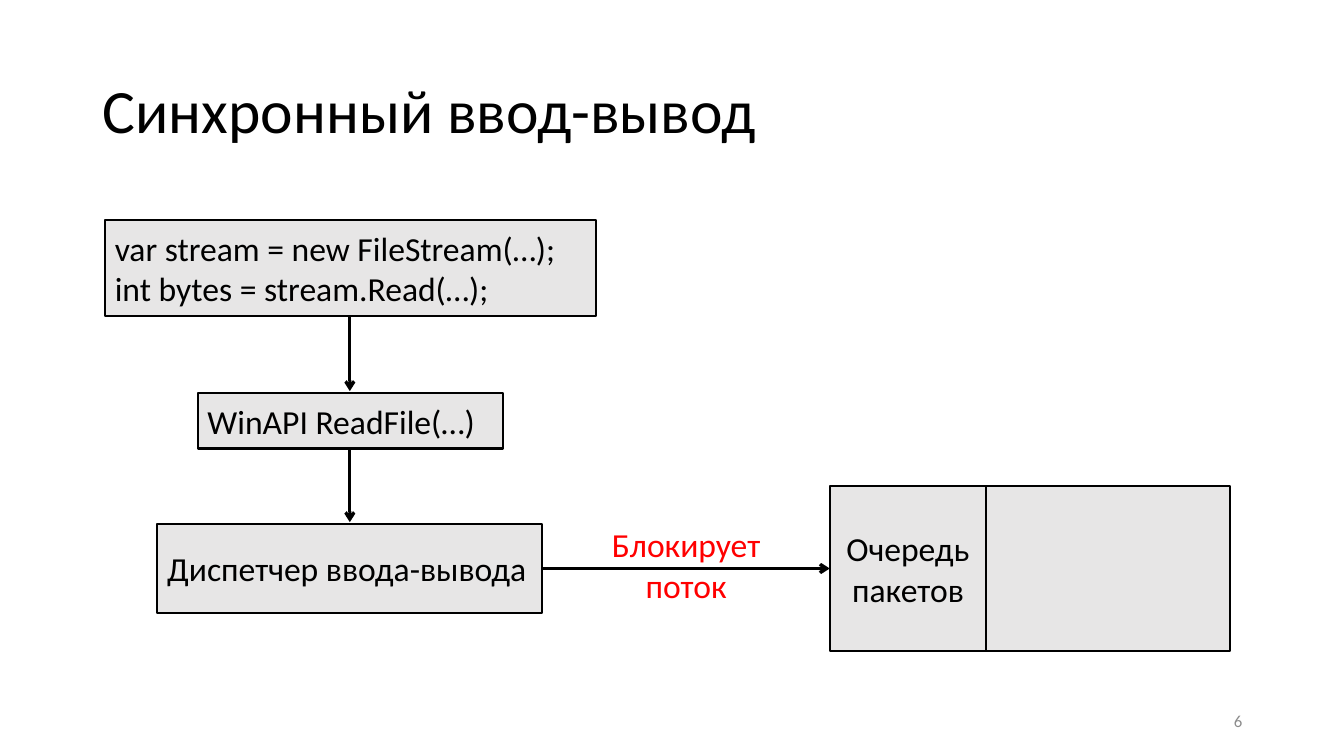
from lxml import etree
from pptx import Presentation
from pptx.dml.color import RGBColor
from pptx.enum.shapes import MSO_CONNECTOR, MSO_SHAPE
from pptx.enum.text import MSO_ANCHOR, PP_ALIGN
from pptx.oxml.ns import qn
from pptx.util import Inches, Pt

LEFT, CENTER, RIGHT = PP_ALIGN.LEFT, PP_ALIGN.CENTER, PP_ALIGN.RIGHT
MIDDLE, TOP = MSO_ANCHOR.MIDDLE, MSO_ANCHOR.TOP
RECTANGLE = MSO_SHAPE.RECTANGLE
STRAIGHT = MSO_CONNECTOR.STRAIGHT
TITLE_ONLY = 5


def rgb(value):
    return RGBColor.from_string(value)


class Diagram:
    FONT = "Calibri"
    INK, FILL, ALERT, MUTED = "000000", "E7E6E6", "FF0000", "8C8C8C"

    def __init__(self, slide):
        self.slide = slide

    def set_text(self, frame, lines, size=24, color=INK, align=LEFT, anchor=MIDDLE, wrap=True):
        frame.word_wrap = wrap
        frame.vertical_anchor = anchor
        frame.text = "\n".join(lines)
        for paragraph in frame.paragraphs:
            paragraph.alignment = align
            paragraph.font.name = self.FONT
            paragraph.font.size = Pt(size)
            paragraph.font.color.rgb = rgb(color)

    def title(self, text, *box):
        heading = self.slide.shapes.title
        heading.left, heading.top, heading.width, heading.height = map(Inches, box)
        self.set_text(heading.text_frame, [text], size=44)
        heading.text_frame.paragraphs[0].line_spacing = 0.9

    def box(self, lines, *box, align=LEFT):
        shape = self.slide.shapes.add_shape(RECTANGLE, *map(Inches, box))
        shape.shadow.inherit = False
        shape.fill.solid()
        shape.fill.fore_color.rgb = rgb(self.FILL)
        shape.line.color.rgb = rgb(self.INK)
        shape.line.width = Pt(1.5)
        self.set_text(shape.text_frame, lines, align=align)

    def label(self, lines, *box, **style):
        shape = self.slide.shapes.add_textbox(*map(Inches, box))
        self.set_text(shape.text_frame, lines, **style)

    def arrow(self, *ends):
        """Draw an arrow; ends are x and y of the start, then of the tip."""
        connector = self.slide.shapes.add_connector(STRAIGHT, *map(Inches, ends))
        connector.line.color.rgb = rgb(self.INK)
        connector.line.width = Pt(2.25)
        properties = connector.element.spPr
        etree.SubElement(properties.find(qn("a:ln")), qn("a:tailEnd"), type="arrow")
        etree.SubElement(properties, qn("a:effectLst"))


def main():
    deck = Presentation()
    deck.slide_width, deck.slide_height = Inches(13.33), Inches(7.5)
    diagram = Diagram(deck.slides.add_slide(deck.slide_layouts[TITLE_ONLY]))

    diagram.title("Синхронный ввод-вывод", 0.92, 0.4, 11.5, 1.45)

    diagram.box(["var stream = new FileStream(…);", "int bytes = stream.Read(…);"],
                1.04, 2.18, 4.87, 0.96)
    diagram.box(["WinAPI ReadFile(…)"], 1.96, 3.9, 3.03, 0.55)
    diagram.box(["Диспетчер ввода-вывода"], 1.56, 5.2, 3.82, 0.88)

    call_x, dispatch_y = 3.47, 5.64
    for call_y in (3.14, 4.44):
        diagram.arrow(call_x, call_y, call_x, call_y + 0.74)
    diagram.arrow(5.38, dispatch_y, 8.23, dispatch_y)
    diagram.label(["Блокирует", "поток"], 5.96, 5.15, 1.69, 0.91,
                  color=diagram.ALERT, align=CENTER, anchor=TOP, wrap=False)

    queue_y, queue_height = 4.82, 1.64
    diagram.box(["Очередь", "пакетов"], 8.23, queue_y, 1.55, queue_height, align=CENTER)
    diagram.box([], 9.78, queue_y, 2.42, queue_height)

    diagram.label(["6"], 9.42, 6.95, 3, 0.4, size=12, color=diagram.MUTED, align=RIGHT)

    deck.save("out.pptx")


if __name__ == "__main__":
    main()
